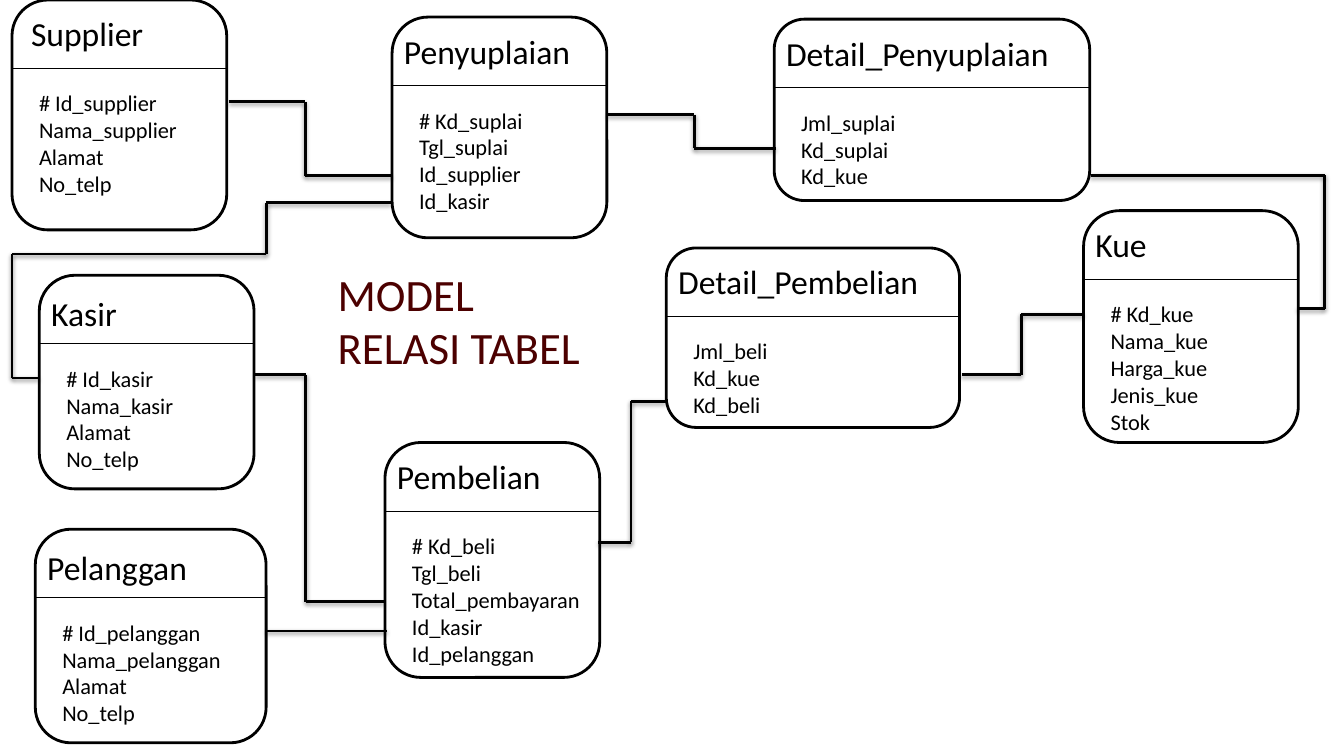
import pptx
import pptx.dml.color
import pptx.enum.shapes
import pptx.enum.text
import pptx.oxml
import pptx.util
from itertools import pairwise

Pt = pptx.util.Pt
FONT = "Calibri"
BLACK = "000000"
WHITE = "FFFFFF"
DARK_RED = "4C0000"
NAMESPACE = "http://schemas.openxmlformats.org/drawingml/2006/main"
SHADOW = (
    '<a:outerShdw blurRad="39370" dist="20320" dir="5400000" rotWithShape="0">'
    '<a:srgbClr val="000000"><a:alpha val="38000"/></a:srgbClr></a:outerShdw>'
)

HEADING_INDENT = 1.4
HEADING_DROP = 6
DIVIDER_DROP = 49
FIELDS_INDENT = 12.2
FIELDS_DROP = 60.5

TABLES = [
    ("Supplier", (8.6, 0, 153.4, 164.2), (6.5, HEADING_DROP),
     ["# Id_supplier", "Nama_supplier", "Alamat", "No_telp"]),
    ("Penyuplaian", (280.1, 12.2, 153.4, 157.7), (HEADING_INDENT, HEADING_DROP),
     ["# Kd_suplai", "Tgl_suplai", "Id_supplier", "Id_kasir"]),
    ("Kue", (774, 150.5, 153.4, 165.6), (HEADING_INDENT, HEADING_DROP),
     ["# Kd_kue", "Nama_kue", "Harga_kue", "Jenis_kue", "Stok"]),
    ("Pembelian", (275, 316.1, 153.4, 167.8), (HEADING_INDENT, HEADING_DROP),
     ["# Kd_beli", "Tgl_beli", "Total_pembayaran", "Id_kasir", "Id_pelanggan"]),
    ("Kasir", (28.1, 196.6, 153.4, 152.6), (HEADING_INDENT, 9.4),
     ["# Id_kasir", "Nama_kasir", "Alamat", "No_telp"]),
    ("Detail_Penyuplaian", (553, 13.7, 225.4, 129.6), (HEADING_INDENT, HEADING_DROP),
     ["Jml_suplai", "Kd_suplai", "Kd_kue"]),
    ("Detail_Pembelian", (475.9, 177.1, 209.5, 128.2), (HEADING_INDENT, HEADING_DROP),
     ["Jml_beli", "Kd_kue", "Kd_beli"]),
    ("Pelanggan", (25.2, 378, 164.9, 152.6), (HEADING_INDENT, 9.4),
     ["# Id_pelanggan", "Nama_pelanggan", "Alamat", "No_telp"]),
]

RELATIONS = [
    [(163.4, 72.7), (218, 72.7), (218, 125.5), (280, 125.5)],
    [(279.4, 144.7), (190.3, 144.7), (190.3, 181.4), (8.6, 181.4), (8.6, 270), (27.4, 270)],
    [(190.1, 450.7), (276.5, 450.7)],
    [(182.2, 267.8), (218.5, 267.8), (218.5, 429.8), (274.3, 429.8)],
    [(779, 125.3), (946.1, 125.3), (946.1, 220.5), (926.6, 220.5)],
    [(433.4, 82), (496, 82), (496, 106), (554.4, 106)],
    [(686.9, 267.8), (729.4, 267.8), (729.4, 224.6), (774, 224.6)],
    [(427, 387.4), (450.7, 387.4), (450.7, 286.6), (475.9, 286.6)],
]


def color(hex_string):
    return pptx.dml.color.RGBColor.from_string(hex_string)


def format_text(text_frame, size, hex_string):
    for paragraph in text_frame.paragraphs:
        paragraph.alignment = pptx.enum.text.PP_ALIGN.LEFT
        for run in paragraph.runs:
            run.font.name = FONT
            run.font.size = Pt(size)
            run.font.color.rgb = color(hex_string)


def add_text(shapes, text, left, top, width, height, size):
    box = shapes.add_textbox(Pt(left), Pt(top), Pt(width), Pt(height))
    box.text_frame.word_wrap = True
    box.text_frame.text = text
    format_text(box.text_frame, size, BLACK)


def add_line(shapes, start, end, weight, effect=""):
    line = shapes.add_connector(
        pptx.enum.shapes.MSO_CONNECTOR.STRAIGHT, *(Pt(value) for value in start + end))
    line.line.color.rgb = color(BLACK)
    line.line.width = Pt(weight)
    line._element.spPr.append(pptx.oxml.parse_xml(
        f'<a:effectLst xmlns:a="{NAMESPACE}">{effect}</a:effectLst>'))


def add_entity(slide, name, frame, heading_offset, fields):
    left, top, width, height = frame
    shapes = slide.shapes.add_group_shape().shapes
    body = shapes.add_shape(
        pptx.enum.shapes.MSO_SHAPE.ROUNDED_RECTANGLE, *(Pt(value) for value in frame))
    body.shadow.inherit = False
    body.fill.solid()
    body.fill.fore_color.rgb = color(WHITE)
    body.line.color.rgb = color(BLACK)
    body.line.width = Pt(2)
    divider_top = top + DIVIDER_DROP
    add_line(shapes, (left, divider_top), (left + width, divider_top), 0.75)
    indent, drop = heading_offset
    add_text(shapes, name, left + indent, top + drop, width, 38, 24)
    add_text(shapes, "\n".join(fields), left + FIELDS_INDENT, top + FIELDS_DROP,
             width, 7.2 + 19.5 * len(fields), 16)


def add_relation(slide, points):
    for start, end in pairwise(points):
        add_line(slide.shapes, start, end, 2, SHADOW)


def set_title(slide, text):
    title = slide.shapes.title
    title.left, title.top, title.width, title.height = Pt(234), Pt(180.7), Pt(193), Pt(95.8)
    text_frame = title.text_frame
    text_frame.text = text
    text_frame.word_wrap = True
    text_frame.auto_size = pptx.enum.text.MSO_AUTO_SIZE.NONE
    text_frame.vertical_anchor = pptx.enum.text.MSO_ANCHOR.MIDDLE
    format_text(text_frame, 32, DARK_RED)


def main():
    presentation = pptx.Presentation()
    presentation.slide_width = Pt(960)
    presentation.slide_height = Pt(540)
    slide = presentation.slides.add_slide(presentation.slide_layouts[5])
    set_title(slide, "MODEL\vRELASI TABEL")
    for table in TABLES:
        add_entity(slide, *table)
    for points in RELATIONS:
        add_relation(slide, points)
    presentation.save("out.pptx")


if __name__ == "__main__":
    main()
